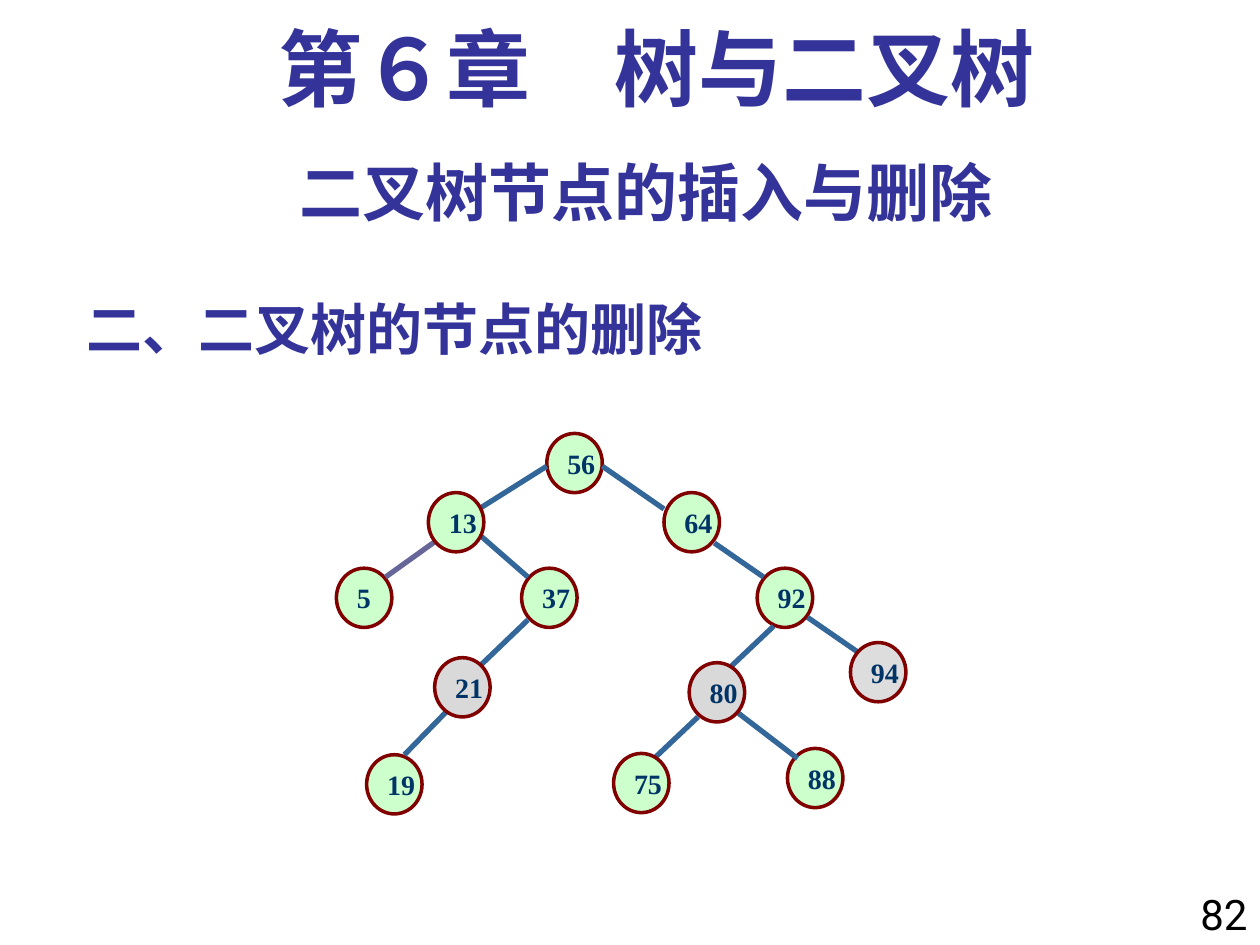
from pptx import Presentation
from pptx.dml.color import RGBColor
from pptx.enum.lang import MSO_LANGUAGE_ID as Lang
from pptx.enum.shapes import MSO_CONNECTOR as Connector, MSO_SHAPE as Shape
from pptx.enum.text import MSO_ANCHOR as Anchor, MSO_AUTO_SIZE as AutoSize, PP_ALIGN as Align
from pptx.util import Inches, Pt
from lxml.etree import SubElement
from pptx.oxml.ns import qn

INDIGO = RGBColor(0x33, 0x33, 0x99)
BLACK = RGBColor(0, 0, 0)
NAVY = RGBColor(0x00, 0x33, 0x66)
MAROON = RGBColor(0x80, 0, 0)
GREEN = RGBColor(0xCC, 0xFF, 0xCC)
GRAY = RGBColor(0xD9, 0xD9, 0xD9)
PALE_GRAY = RGBColor(0xDD, 0xDD, 0xDD)
BLUE = RGBColor(0x33, 0x66, 0x99)
VIOLET = RGBColor(0x66, 0x66, 0x99)

SERIF = "Times New Roman"
SANS = "Roboto"
CJK = "Noto Sans CJK SC"

BACK_NODES = [
    ("56", 4.34, 3.44, GREEN),
    ("64", 5.27, 3.91, GREEN),
    ("5", 2.67, 4.51, GREEN),
    ("92", 6.01, 4.51, GREEN),
    ("37", 4.14, 4.51, GREEN),
    ("88", 6.25, 5.94, GREEN),
    ("19", 2.91, 5.99, GREEN),
]
FRONT_NODES = [
    ("80", 5.47, 5.26, GRAY),
    ("21", 3.45, 5.22, GRAY),
    ("13", 3.4, 3.91, GREEN),
    ("75", 4.87, 5.98, GREEN),
    ("94", 6.75, 5.1, PALE_GRAY),
]
BRANCHES = [
    (4.34, 3.7, 3.8, 4.04, BLUE),
    (3.45, 4.3, 3.06, 4.58, VIOLET),
    (4.78, 3.7, 5.27, 4.04, BLUE),
    (3.8, 4.24, 4.19, 4.58, BLUE),
    (4.19, 4.92, 3.71, 5.38, BLUE),
    (5.67, 4.31, 6.06, 4.58, BLUE),
    (6.14, 4.97, 5.77, 5.32, BLUE),
    (5.86, 5.66, 6.33, 6.02, BLUE),
    (3.6, 5.59, 3.21, 5.99, BLUE),
    (5.54, 5.69, 5.17, 6.04, BLUE),
    (6.41, 4.9, 6.8, 5.17, BLUE),
]


class TreeSlide:
    """Draws headings, tree nodes and branches in one style on a slide."""

    node_width, node_height = 0.44, 0.47

    def __init__(self, slide):
        self.shapes = slide.shapes

    def add_text(self, frame, text, size, font, color, bold=True, align=Align.LEFT):
        paragraph = frame.paragraphs[0]
        paragraph.alignment = align
        run = paragraph.add_run()
        run.text = text
        run.font.size = Pt(size)
        run.font.name = font
        run.font.bold = bold
        run.font.color.rgb = color
        run.font.language_id = Lang.SIMPLIFIED_CHINESE
        return paragraph

    def label(self, box, text, size, font, color=INDIGO, bold=True,
              align=Align.CENTER, anchor=Anchor.TOP, grow=False):
        frame = self.shapes.add_textbox(*map(Inches, box)).text_frame
        frame.word_wrap = True
        frame.vertical_anchor = anchor
        frame.auto_size = AutoSize.SHAPE_TO_FIT_TEXT if grow else AutoSize.NONE
        return self.add_text(frame, text, size, font, color, bold, align)

    def node(self, key, left, top, fill):
        box = (left, top, self.node_width, self.node_height)
        circle = self.shapes.add_shape(Shape.OVAL, *map(Inches, box))
        circle.shadow.inherit = False
        circle.fill.solid()
        circle.fill.fore_color.rgb = fill
        circle.line.color.rgb = MAROON
        circle.line.width = Pt(2)
        frame = circle.text_frame
        frame.word_wrap = False
        frame.vertical_anchor = Anchor.MIDDLE
        self.add_text(frame, key, 16, SERIF, NAVY)

    def branch(self, x1, y1, x2, y2, color):
        ends = map(Inches, (x1, y1, x2, y2))
        edge = self.shapes.add_connector(Connector.STRAIGHT, *ends)
        edge.line.color.rgb = color
        edge.line.width = Pt(3)
        SubElement(edge._element.spPr, qn("a:effectLst"))


def main():
    deck = Presentation()
    deck.slide_width, deck.slide_height = Inches(10), Inches(7.5)
    tree = TreeSlide(deck.slides.add_slide(deck.slide_layouts[6]))

    tree.label((0.59, 2.17, 9.16, 0.75), "二、二叉树的节点的删除", 32, CJK,
               align=Align.LEFT, anchor=Anchor.BOTTOM)
    tree.label((0.5, 1.17, 9.25, 0.7), "二叉树节点的插入与删除", 36, SANS, grow=True)
    chapter = tree.label((0.67, 0.17, 9.08, 0.83), "第６章　树与二叉树", 48, SERIF)
    chapter.line_spacing = 0.9
    tree.label((9.33, 7, 0.67, 0.59), "82", 24, SANS, BLACK,
               bold=False, align=Align.RIGHT, grow=True)

    for node in BACK_NODES:
        tree.node(*node)
    for branch in BRANCHES:
        tree.branch(*branch)
    for node in FRONT_NODES:
        tree.node(*node)

    deck.save("out.pptx")


if __name__ == "__main__":
    main()
